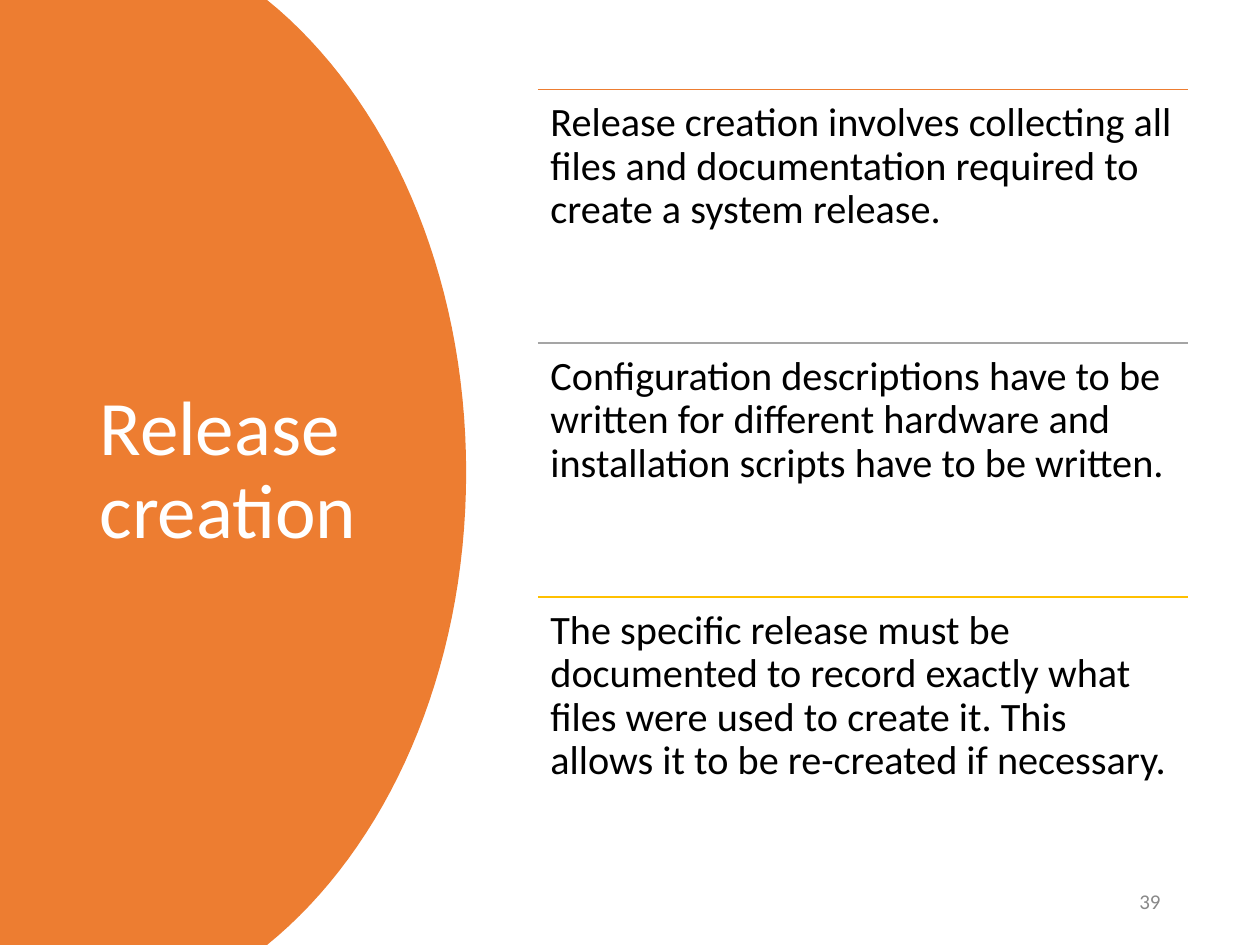
import pptx
import pptx.dml.color
import pptx.enum.shapes
import pptx.enum.text
import pptx.oxml
import pptx.oxml.ns
import pptx.util
from pptx.util import Inches

RGBColor = pptx.dml.color.RGBColor
ORANGE = RGBColor(0xED, 0x7D, 0x31)
GRAY = RGBColor(0xA5, 0xA5, 0xA5)
GOLD = RGBColor(0xFF, 0xC0, 0x00)
WHITE = RGBColor(0xFF, 0xFF, 0xFF)
BLACK = RGBColor(0, 0, 0)
NUMBER_GRAY = RGBColor(0x89, 0x89, 0x89)

FONT = "Calibri"
ALIGN = pptx.enum.text.PP_ALIGN
ANCHOR = pptx.enum.text.MSO_ANCHOR
CURVE_STEPS = 32

POINTS = [
    (ORANGE, "Release creation involves collecting all files and documentation "
             "required to create a system release."),
    (GRAY, "Configuration descriptions have to be written for different hardware "
           "and installation scripts have to be written."),
    (GOLD, "The specific release must be documented to record exactly what files "
           "were used to create it. This allows it to be re-created if necessary."),
]


def write_text(shape, text, size, color, alignment, anchor, line_spacing=1.0):
    frame = shape.text_frame
    frame.text = text
    frame.word_wrap = True
    frame.auto_size = pptx.enum.text.MSO_AUTO_SIZE.NONE
    frame.vertical_anchor = anchor
    paragraph = frame.paragraphs[0]
    paragraph.alignment = alignment
    paragraph.line_spacing = line_spacing
    font = paragraph.runs[0].font
    font.name = FONT
    font.size = pptx.util.Pt(size)
    font.color.rgb = color


def bezier_points(start, control_1, control_2, end):
    """Return points along a cubic curve, without its start."""
    points = []
    for step in range(1, CURVE_STEPS + 1):
        t = step / CURVE_STEPS
        weights = ((1 - t) ** 3, 3 * t * (1 - t) ** 2, 3 * t ** 2 * (1 - t), t ** 3)
        corners = (start, control_1, control_2, end)
        points.append(tuple(sum(weight * corner[axis] for weight, corner in zip(weights, corners))
                            for axis in (0, 1)))
    return points


def add_title_panel(slide, left, top, width, height):
    """Place the title on a panel whose right side bulges outwards."""
    shoulder, middle = 2.12, height / 2
    upper = bezier_points((shoulder, 0), (3.07, 0.77), (width, 2.16), (width, middle))
    lower = [(x, height - y) for x, y in reversed(upper[:-1])]
    outline = [(shoulder, 0)] + upper + lower + [(shoulder, height), (0, height)]
    builder = slide.shapes.build_freeform(Inches(left), Inches(top))
    builder.add_line_segments([(Inches(left + x), Inches(top + y)) for x, y in outline])
    panel = builder.convert_to_shape()
    panel.shadow.inherit = False
    panel.fill.solid()
    panel.fill.fore_color.rgb = ORANGE
    panel.line.fill.background()

    title = slide.shapes.title
    title.element.addprevious(panel.element)
    title.left, title.top = Inches(left + 0.69), Inches(top + 0.7)
    title.width, title.height = Inches(2.42), Inches(6.09)
    write_text(title, "Release creation", 44, WHITE, ALIGN.LEFT, ANCHOR.MIDDLE, 0.9)


def add_point_list(slide, left, top, width, height):
    """Stack the points in equal rows, each under a coloured rule."""
    group = slide.shapes.add_group_shape()
    row_height = height / len(POINTS)
    for index, (color, text) in enumerate(POINTS):
        row_top = Inches(top + index * row_height)
        rule = group.shapes.add_connector(
            pptx.enum.shapes.MSO_CONNECTOR.STRAIGHT,
            Inches(left), row_top, Inches(left + width), row_top)
        rule.line.color.rgb = color
        rule.line.width = pptx.util.Pt(1)
        rule.element.spPr.append(pptx.oxml.parse_xml(
            "<a:effectLst %s/>" % pptx.oxml.ns.nsdecls("a")))

        box = group.shapes.add_textbox(
            Inches(left), row_top, Inches(width), Inches(row_height))
        write_text(box, text, 23, BLACK, ALIGN.LEFT, ANCHOR.TOP, 0.9)
        frame = box.text_frame
        frame.margin_left = frame.margin_right = Inches(0.1)
        frame.margin_top = frame.margin_bottom = Inches(0.1)


def add_slide_number(slide, left, top, width, height):
    box = slide.shapes.add_textbox(Inches(left), Inches(top), Inches(width), Inches(height))
    write_text(box, "39", 12, NUMBER_GRAY, ALIGN.RIGHT, ANCHOR.MIDDLE)
    box.text_frame.paragraphs[0].space_after = pptx.util.Pt(6)


def main():
    presentation = pptx.Presentation()
    presentation.slide_width = Inches(10)
    presentation.slide_height = Inches(7.5)
    slide = presentation.slides.add_slide(presentation.slide_layouts[5])
    add_title_panel(slide, 0, 0, 3.7, 7.5)
    add_slide_number(slide, 7.06, 6.95, 2.25, 0.4)
    add_point_list(slide, 4.27, 0.71, 5.16, 6.04)
    presentation.save("out.pptx")


if __name__ == "__main__":
    main()
